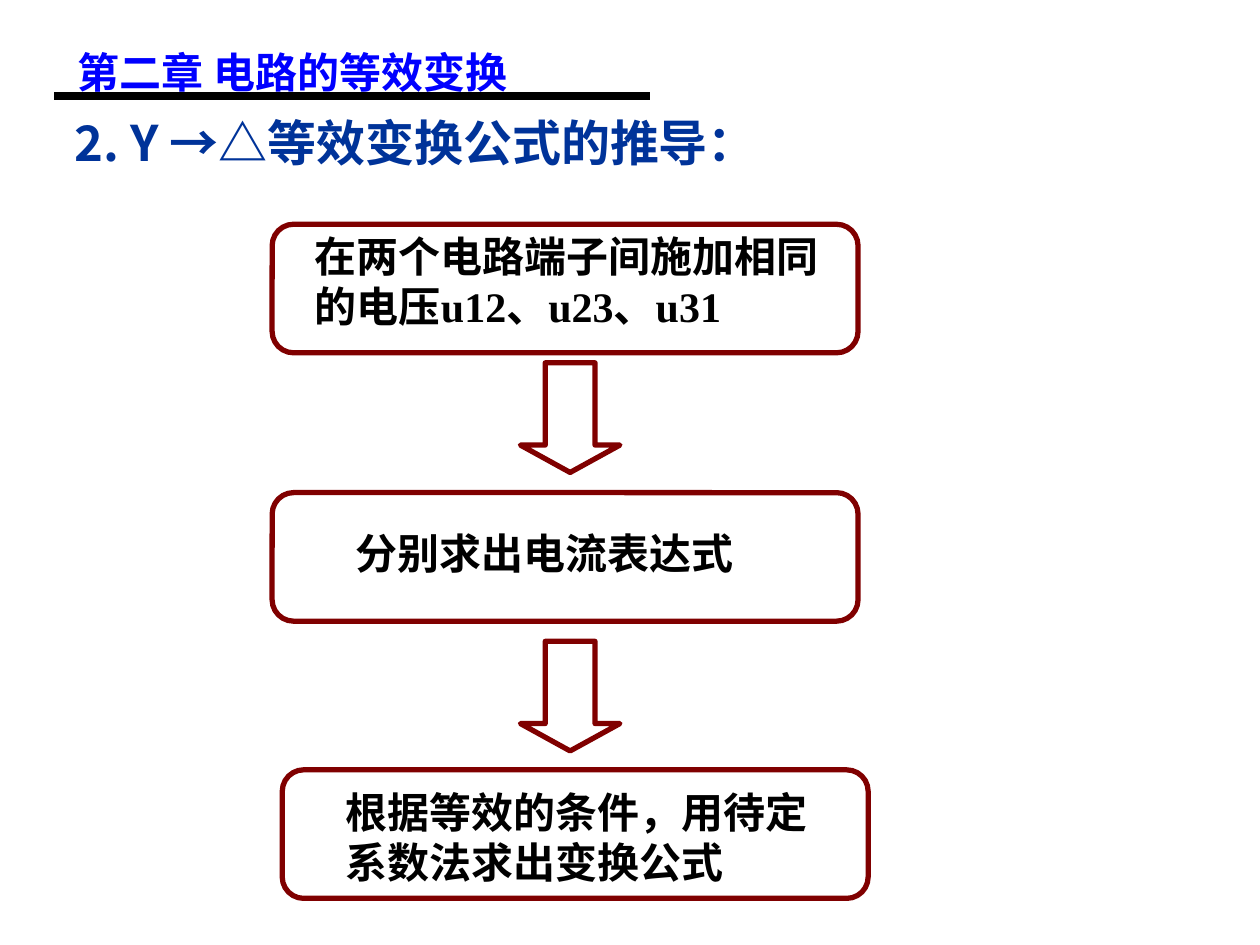
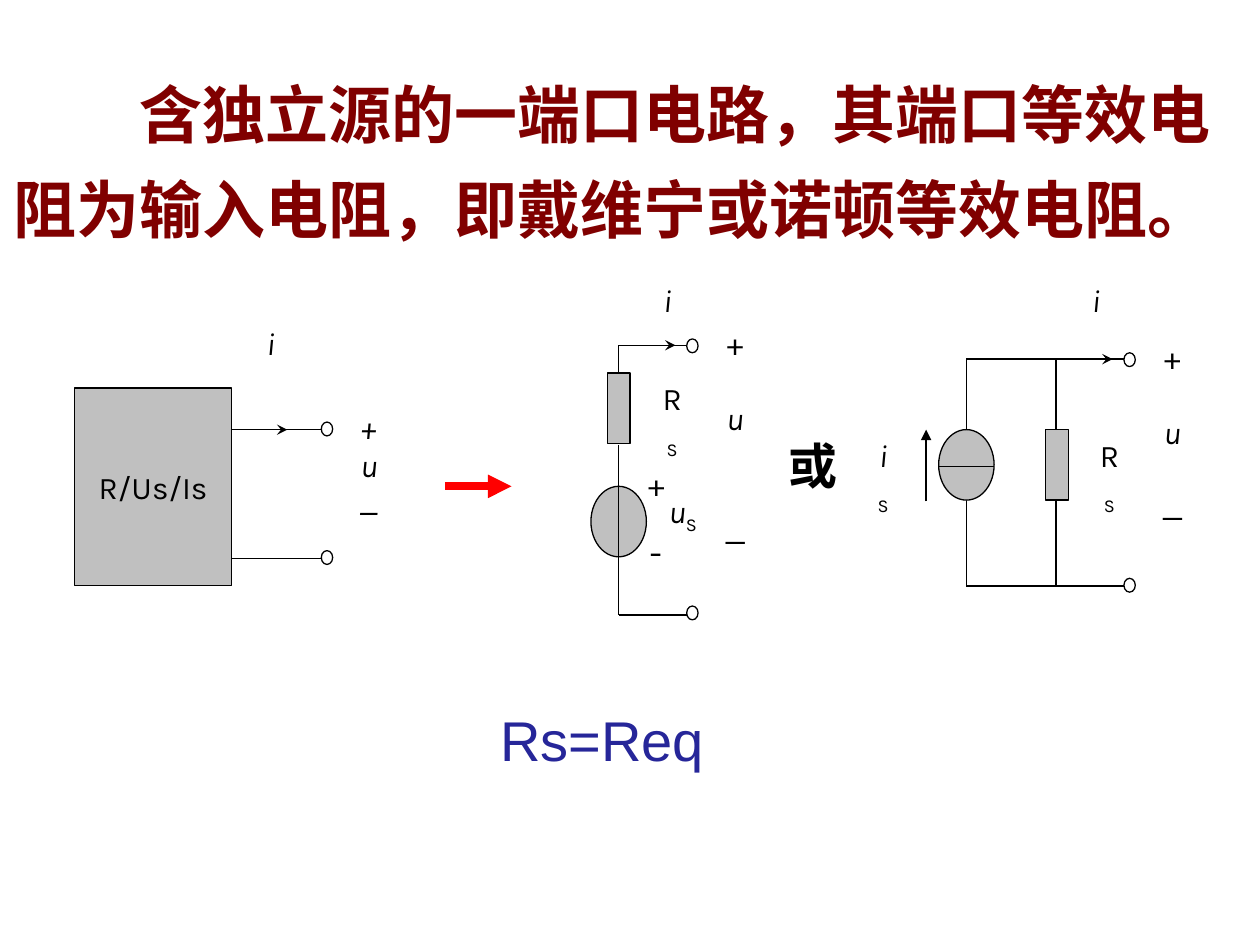
"""Build two slides on equivalent circuit transformations."""
from dataclasses import dataclass

from lxml import etree
from pptx import Presentation
from pptx.dml.color import RGBColor
from pptx.enum.shapes import MSO_CONNECTOR, MSO_SHAPE
from pptx.enum.text import MSO_ANCHOR, MSO_AUTO_SIZE, PP_ALIGN
from pptx.oxml.ns import qn
from pptx.util import Inches, Pt


@dataclass(frozen=True)
class Theme:
    black: str = "000000"
    chapter: str = "0000FF"
    heading: str = "003399"
    maroon: str = "800000"
    red: str = "FF0000"
    result: str = "262699"
    gray: str = "C0C0C0"
    cjk: str = "Noto Sans CJK SC"
    symbol: str = "Karla"
    serif: str = "Times New Roman"
    sans: str = "Arial"
    label_size: int = 18
    minus_size: int = 20
    step_size: int = 24
    heading_size: int = 28
    result_size: int = 32
    statement_size: int = 36
    blank_line: float = 21.6
    thin: float = 0.75
    outline: float = 3
    heavy: float = 4.5


theme = Theme()


def write(shape, lines, font=theme.symbol, size=theme.label_size, color=theme.black,
          bold=False, italic="", align=PP_ALIGN.CENTER, wrap=False, gaps=()):
    """Write lines; text after a bar is subscript and lines found in italic are slanted."""
    frame = shape.text_frame
    frame.word_wrap = wrap
    frame.auto_size = MSO_AUTO_SIZE.NONE
    for number, line in enumerate(lines):
        paragraph = frame.add_paragraph() if number else frame.paragraphs[0]
        base, _, subscript = line.partition("|")
        paragraph.add_run().text = base
        paragraph.alignment = align
        paragraph.space_before = Pt(gaps[number] * theme.blank_line if gaps else 0)
        paragraph.font.name = font
        paragraph.font.size = Pt(size)
        paragraph.font.bold = bold
        paragraph.font.italic = base in italic
        paragraph.font.color.rgb = RGBColor.from_string(color)
        defaults = paragraph._p.pPr.find(qn("a:defRPr"))
        etree.SubElement(defaults, qn("a:ea"), typeface=theme.cjk)
        if subscript:
            small = paragraph.add_run()
            small.text = subscript
            small.font.italic = False
            small._r.get_or_add_rPr().set("baseline", "-25000")


def connect(slide, x1, y1, x2, y2, color=theme.black, width=theme.thin, arrow=None):
    """Draw a straight line, with an arrowhead at its end if one is named."""
    line = slide.shapes.add_connector(
        MSO_CONNECTOR.STRAIGHT, *map(Inches, (x1, y1, x2, y2)))
    line.line.color.rgb = RGBColor.from_string(color)
    line.line.width = Pt(width)
    if arrow:
        etree.SubElement(line.line._get_or_add_ln(), qn("a:tailEnd"), type=arrow)
    etree.SubElement(line._element.spPr, qn("a:effectLst"))


deck = Presentation()
deck.slide_width, deck.slide_height = Inches(10), Inches(7.5)
title_only = deck.slide_layouts[5]

derivation = deck.slides.add_slide(title_only)
connect(derivation, 0.43, 0.76, 5.16, 0.76, width=theme.heavy)
chapter = derivation.shapes.add_textbox(*map(Inches, (0.52, 0.32, 3.61, 0.5)))
write(chapter, ["第二章 电路的等效变换"], theme.cjk, theme.step_size, theme.chapter,
      bold=True, align=PP_ALIGN.LEFT)
heading = derivation.shapes.title
heading.left, heading.top, heading.width, heading.height = map(Inches, (0.49, 0.84, 5.96, 0.57))
heading.text_frame.vertical_anchor = MSO_ANCHOR.MIDDLE
write(heading, ["2. Y →△等效变换公式的推导："], theme.cjk, theme.heading_size,
      theme.heading, bold=True, align=PP_ALIGN.LEFT)

steps = [
    (2.16, 1.78, 0.29, 0, ["在两个电路端子间施加相同", "的电压u12、u23、u31"]),
    (2.16, 3.91, 0.61, 0.23, ["分别求出电流表达式"]),
    (2.24, 6.11, 0.45, 0.08, ["根据等效的条件，用待定", "系数法求出变换公式"]),
]
flow = []
for left, top, indent, drop, lines in steps:
    step = derivation.shapes.add_shape(
        MSO_SHAPE.FLOWCHART_ALTERNATE_PROCESS, *map(Inches, (left, top, 4.65, 1.02)))
    frame = step.text_frame
    frame.margin_left, frame.margin_top = Inches(indent), Inches(drop)
    frame.margin_right = frame.margin_bottom = 0
    frame.vertical_anchor = MSO_ANCHOR.TOP
    write(step, lines, theme.serif, theme.step_size, bold=True,
          align=PP_ALIGN.LEFT, wrap=True)
    flow.append(step)
for top in (2.88, 5.09):
    arrow = derivation.shapes.add_shape(
        MSO_SHAPE.DOWN_ARROW, *map(Inches, (4.13, top, 0.79, 0.87)))
    arrow.adjustments[1] = 0.275
    flow.append(arrow)
for shape in flow:
    shape.shadow.inherit = False
    shape.fill.background()
    shape.line.color.rgb = RGBColor.from_string(theme.maroon)
    shape.line.width = Pt(theme.outline)

source = deck.slides.add_slide(title_only)
statement = source.shapes.title
statement.left, statement.top, statement.width, statement.height = map(
    Inches, (0.01, 0.4, 10, 1.6))
statement.text_frame.vertical_anchor = MSO_ANCHOR.TOP
write(statement, ["含独立源的一端口电路，其端口等效电阻为输入电阻，即戴维宁或诺顿等效电阻。"],
      theme.cjk, theme.statement_size, theme.maroon, bold=True,
      align=PP_ALIGN.LEFT, wrap=True)
opening = statement.text_frame.paragraphs[0]
opening.line_spacing = 1.25
opening._p.pPr.set("indent", str(Inches(1)))

components = [
    (MSO_SHAPE.RECTANGLE, 0.59, 3.08, 1.25, 1.57, ["R/Us/Is"]),
    (MSO_SHAPE.OVAL, 4.69, 3.86, 0.44, 0.56, []),
    (MSO_SHAPE.RECTANGLE, 4.82, 2.96, 0.18, 0.56, []),
    (MSO_SHAPE.OVAL, 7.45, 3.41, 0.44, 0.56, []),
    (MSO_SHAPE.RECTANGLE, 8.3, 3.41, 0.18, 0.56, []),
]
terminals = [(2.55, 3.35), (2.55, 4.37), (5.45, 2.69), (5.45, 4.81), (8.92, 2.8), (8.92, 4.59)]
components += [(MSO_SHAPE.OVAL, x, y, 0.09, 0.11, None) for x, y in terminals]
for kind, left, top, width, height, lines in components:
    part = source.shapes.add_shape(kind, *map(Inches, (left, top, width, height)))
    part.shadow.inherit = False
    part.line.color.rgb = RGBColor.from_string(theme.black)
    part.line.width = Pt(theme.thin)
    if lines is None:
        part.fill.background()
    else:
        part.fill.solid()
        part.fill.fore_color.rgb = RGBColor.from_string(theme.gray)
        write(part, lines)

wires = [
    (1.84, 3.41, 2.55, 3.41), (1.84, 4.43, 2.55, 4.43),
    (4.91, 2.96, 4.91, 2.74), (4.91, 2.74, 5.45, 2.74),
    (4.91, 3.53, 4.91, 4.88), (4.91, 4.88, 5.45, 4.88),
    (8.38, 3.41, 8.38, 2.85), (7.67, 2.85, 8.92, 2.85),
    (8.38, 3.98, 8.38, 4.65), (7.67, 4.65, 8.92, 4.65),
    (7.67, 2.85, 7.67, 3.41), (7.67, 3.98, 7.67, 4.65),
    (7.45, 3.7, 7.89, 3.7),
]
for wire in wires:
    connect(source, *wire)
for x, y in ((2.1, 3.41), (5.18, 2.74), (8.65, 2.85)):
    connect(source, x, y, x + 0.18, y, arrow="stealth")
connect(source, 7.35, 3.98, 7.35, 3.41, arrow="triangle")
connect(source, 3.53, 3.86, 4.06, 3.86, theme.red, theme.heavy, "triangle")

labels = [
    (2.02, 2.52, 0.26, 0.4, ["i"], {"italic": "i"}),
    (5.17, 2.18, 0.26, 0.4, ["i"], {"italic": "i"}),
    (8.57, 2.18, 0.26, 0.4, ["i"], {"italic": "i"}),
    (2.76, 3.19, 0.34, 1, ["+", "u", "_"], {"italic": "+u_"}),
    (5.63, 2.52, 0.41, 1.9, ["+", "u", "_"], {"italic": "u", "wrap": True, "gaps": (0, 1, 2)}),
    (9.1, 2.63, 0.41, 1.6, ["+", "u", "_"], {"italic": "u", "wrap": True, "gaps": (0, 1, 1)}),
    (5.12, 2.96, 0.43, 0.44, ["R|S"], {"wrap": True}),
    (8.59, 3.41, 0.43, 0.44, ["R|S"], {"wrap": True}),
    (6.84, 3.41, 0.34, 0.44, ["i|S"], {"italic": "i", "wrap": True}),
    (5.21, 3.86, 0.42, 0.44, ["u|S"], {"italic": "u"}),
    (5.04, 3.64, 0.34, 0.4, ["+"], {}),
    (5.06, 4.16, 0.29, 0.44, ["-"], {"size": theme.minus_size}),
    (6.16, 3.41, 0.59, 0.57, ["或"], {"size": theme.heading_size, "bold": True}),
    (3.87, 5.55, 1.82, 0.64, ["Rs=Req"],
     {"font": theme.sans, "size": theme.result_size, "color": theme.result,
      "align": PP_ALIGN.LEFT}),
]
for left, top, width, height, lines, style in labels:
    label = source.shapes.add_textbox(*map(Inches, (left, top, width, height)))
    write(label, lines, **style)

deck.save("out.pptx")
